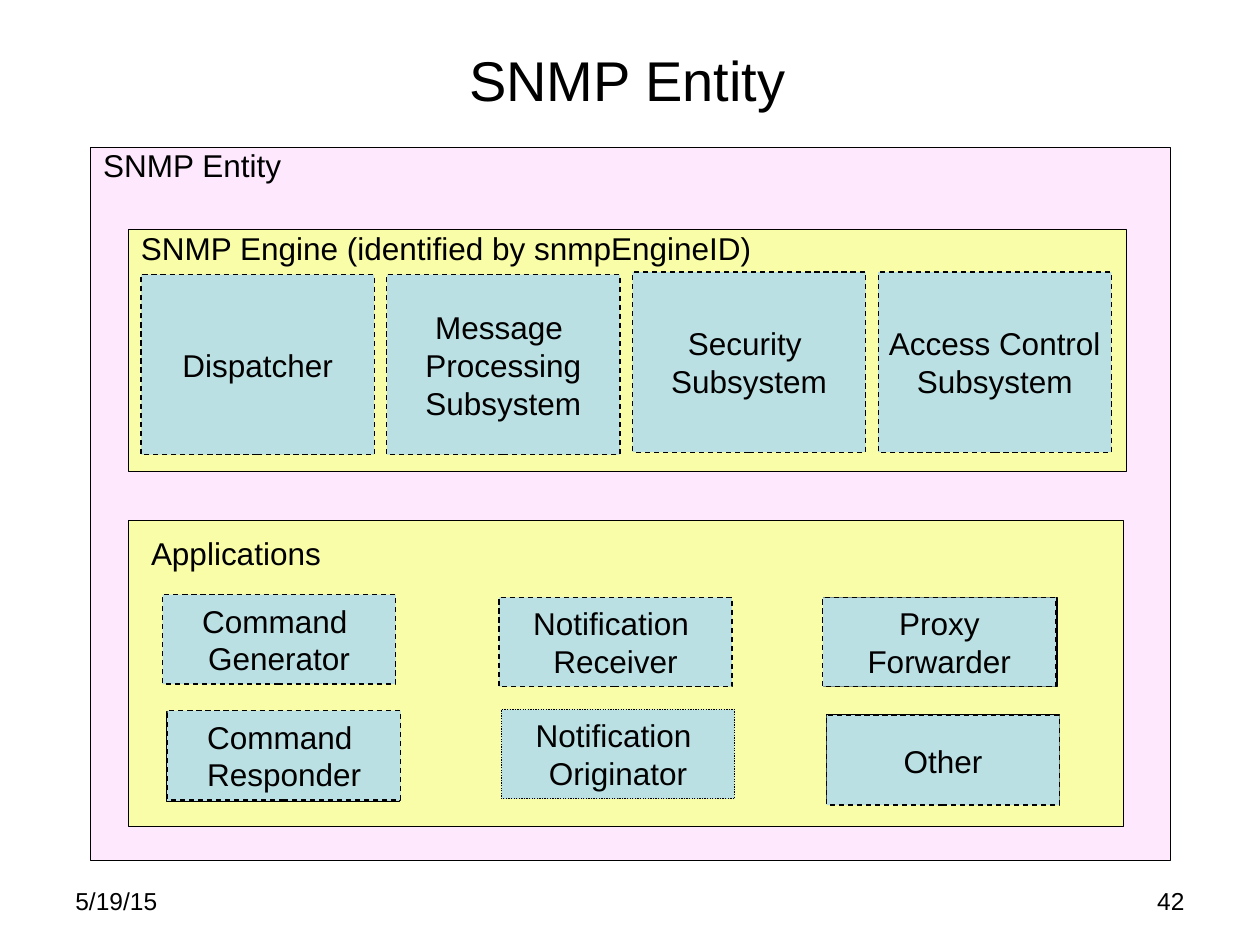
from pptx import Presentation
from pptx.dml.color import RGBColor
from pptx.enum.dml import MSO_LINE
from pptx.enum.shapes import MSO_SHAPE
from pptx.enum.text import MSO_ANCHOR, MSO_AUTO_SIZE, PP_ALIGN
from pptx.util import Inches, Pt

TITLE = "SNMP Entity"
PINK, YELLOW, TEAL, BLACK = "FEE8FE", "F9FDA7", "BBE0E3", "000000"
DASH, DOT = MSO_LINE.DASH, MSO_LINE.ROUND_DOT

FRAMES = [
    (0.72, 1.17, 8.57, 5.66, PINK),
    (1.02, 1.82, 7.92, 1.92, YELLOW),
    (1.02, 4.13, 7.90, 2.43, YELLOW),
]
FRAME_LABELS = [
    ("SNMP Entity", 0.72, 1.11, 1.62),
    ("SNMP Engine (identified by snmpEngineID)", 1.02, 1.77, 5.05),
    ("Applications", 1.10, 4.19, 1.55),
]
SUBSYSTEMS = [
    ("Dispatcher", 2.18),
    ("Message \nProcessing\nSubsystem", 2.18),
    ("Security \nSubsystem", 2.16),
    ("Access Control\nSubsystem", 2.16),
]
BACKINGS = [(1.32, 5.65), (6.54, 4.74), (6.56, 5.67)]
APPLICATIONS = [
    ("Command \nGenerator", 1.29, 4.72, DASH),
    ("Command \nResponder", 1.33, 5.64, DASH),
    ("Notification \nReceiver", 3.96, 4.74, DASH),
    ("Notification \nOriginator", 3.98, 5.63, DOT),
    ("Proxy\nForwarder", 6.53, 4.74, DASH),
    ("Other", 6.56, 5.68, DASH),
]
FOOTERS = [("5/19/15", 0.5, PP_ALIGN.LEFT), ("42", 7.17, PP_ALIGN.RIGHT)]
BOX_WIDTH, SUBSYSTEM_HEIGHT, APPLICATION_HEIGHT = 1.85, 1.43, 0.71
SUBSYSTEM_LEFT, SUBSYSTEM_STEP = 1.12, 1.95

deck = Presentation()
deck.slide_width, deck.slide_height = Inches(10), Inches(7.5)
slide = deck.slides.add_slide(deck.slide_layouts[5])


def color(value):
    return RGBColor.from_string(value)


def write(holder, text, size=18, align=PP_ALIGN.LEFT, anchor=MSO_ANCHOR.TOP,
          wrap=False, fit=MSO_AUTO_SIZE.NONE):
    frame = holder.text_frame
    frame.text = text
    frame.word_wrap, frame.auto_size, frame.vertical_anchor = wrap, fit, anchor
    for paragraph in frame.paragraphs:
        paragraph.alignment = align
        for run in paragraph.runs:
            run.font.name, run.font.size = "Arial", Pt(size)
            run.font.color.rgb = color(BLACK)


def add_box(left, top, width, height, fill, text="", dash=None):
    box = slide.shapes.add_shape(MSO_SHAPE.RECTANGLE, *map(Inches, (left, top, width, height)))
    box.shadow.inherit = False
    box.fill.solid()
    box.fill.fore_color.rgb = color(fill)
    box.line.color.rgb = color(BLACK)
    box.line.width = Pt(0.75)
    if dash:
        box.line.dash_style = dash
    if text:
        write(box, text, align=PP_ALIGN.CENTER, anchor=MSO_ANCHOR.MIDDLE)


def add_label(text, left, top, width, height, **style):
    label = slide.shapes.add_textbox(*map(Inches, (left, top, width, height)))
    write(label, text, **style)


heading = slide.shapes.title
heading.left, heading.top, heading.width, heading.height = map(Inches, (0.48, 0, 9, 1.25))
write(heading, TITLE, size=32, align=PP_ALIGN.CENTER, anchor=MSO_ANCHOR.MIDDLE, wrap=True)

for text, left, align in FOOTERS:
    add_label(text, left, 6.98, 2.33, 0.52, size=14, align=align, wrap=True)

for frame in FRAMES:
    add_box(*frame)

for column, (text, top) in enumerate(SUBSYSTEMS):
    left = SUBSYSTEM_LEFT + column * SUBSYSTEM_STEP
    add_box(left, top, BOX_WIDTH, SUBSYSTEM_HEIGHT, TEAL, text, DASH)

for left, top in BACKINGS:
    add_box(left, top, BOX_WIDTH, APPLICATION_HEIGHT, TEAL)

for text, left, top, dash in APPLICATIONS:
    add_box(left, top, BOX_WIDTH, APPLICATION_HEIGHT, TEAL, text, dash)

for text, left, top, width in FRAME_LABELS:
    add_label(text, left, top, width, 0.4, fit=MSO_AUTO_SIZE.SHAPE_TO_FIT_TEXT)

deck.save("out.pptx")
